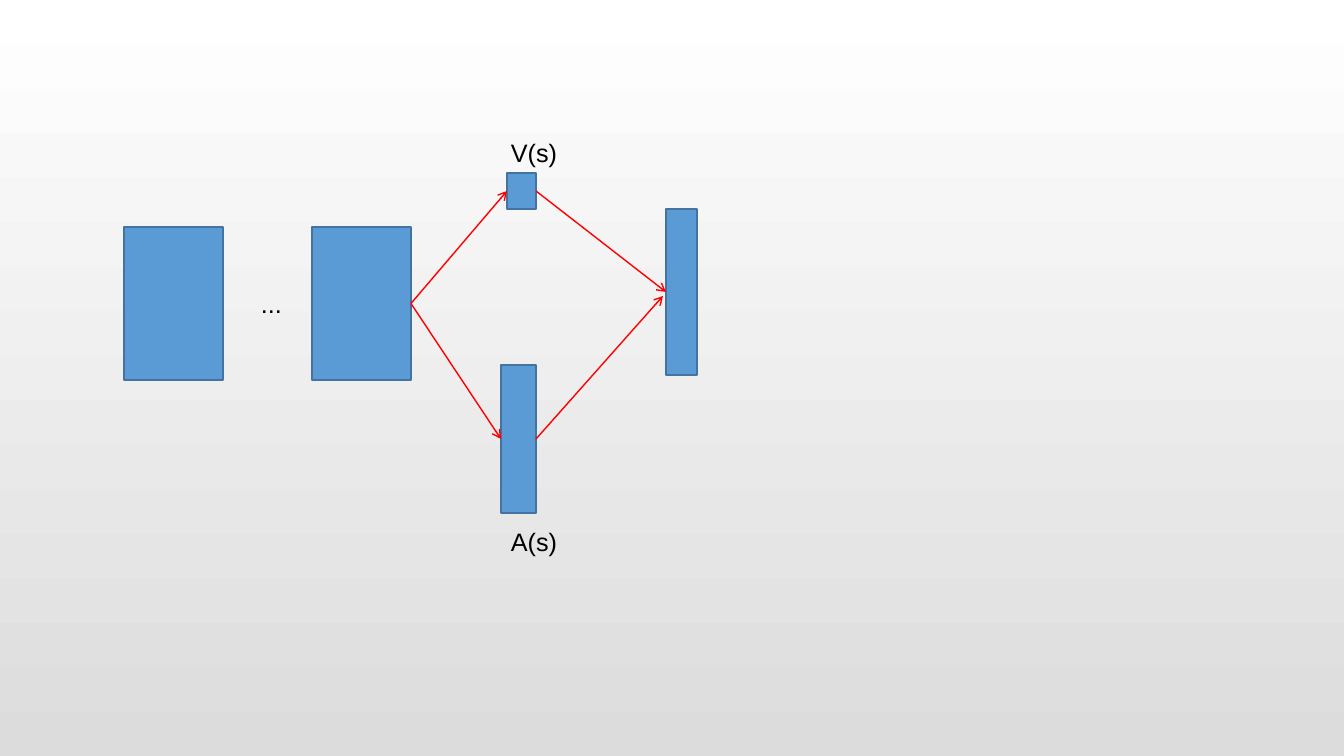
"""Draw a dueling network diagram with value and advantage streams."""
from lxml.etree import SubElement
from pptx import Presentation
from pptx.dml.color import RGBColor
from pptx.enum.shapes import MSO_CONNECTOR as Connector, MSO_SHAPE as Shape
from pptx.enum.text import MSO_AUTO_SIZE as AutoSize
from pptx.oxml.ns import qn
from pptx.util import Emu, Pt

SCALE = 914400 / 100.8
COLORS = {
    "top": "FFFFFF",
    "bottom": "DCDCDC",
    "layer": "5B9BD5",
    "edge": "43739E",
    "arrow": "FF0000",
    "text": "000000",
}
RIGHT, LEFT = 3, 1


def px(length):
    return Emu(round(length * SCALE))


def color(name):
    return RGBColor.from_string(COLORS[name])


def paint_background(page):
    fill = page.background.fill
    fill.gradient()
    fill.gradient_angle = 270
    for stop, name in zip(fill.gradient_stops, ("top", "bottom")):
        stop.color.rgb = color(name)


def add_layer(page, left, top, width, height):
    box = page.shapes.add_shape(Shape.RECTANGLE, px(left), px(top), px(width), px(height))
    box.shadow.inherit = False
    box.fill.solid()
    box.fill.fore_color.rgb = color("layer")
    box.line.color.rgb = color("edge")
    box.line.width = Pt(1)
    return box


def add_label(page, text, left, top, width, height=40, size=18, font="Arial"):
    box = page.shapes.add_textbox(px(left), px(top), px(width), px(height))
    frame = box.text_frame
    frame.word_wrap = True
    frame.auto_size = AutoSize.SHAPE_TO_FIT_TEXT
    span = frame.paragraphs[0].add_run()
    span.text = text
    span.font.size = Pt(size)
    span.font.name = font
    span.font.color.rgb = color("text")


def add_arrow(page, source, target=None, end=(0, 0)):
    x, y = (px(length) for length in end)
    arrow = page.shapes.add_connector(Connector.STRAIGHT, x, y, x, y)
    arrow.begin_connect(source, RIGHT)
    if target is not None:
        arrow.end_connect(target, LEFT)
    arrow.line.color.rgb = color("arrow")
    arrow.line.width = Pt(1)
    SubElement(arrow.line._get_or_add_ln(), qn("a:tailEnd"), type="arrow")
    SubElement(arrow._element.spPr, qn("a:effectLst"))


def main():
    deck = Presentation()
    deck.slide_width, deck.slide_height = px(1344), px(756)
    page = deck.slides.add_slide(deck.slide_layouts[6])
    paint_background(page)

    first, last = [add_layer(page, left, 227, 99, 153) for left in (124, 312)]
    value = add_layer(page, 507, 173, 29, 36)
    advantage = add_layer(page, 501, 365, 35, 148)
    output = add_layer(page, 666, 209, 31, 166)

    add_label(page, "...", 251, 283, 82)
    add_arrow(page, last, value)
    add_arrow(page, last, advantage)
    add_arrow(page, value, output)
    add_arrow(page, advantage, end=(663, 296))
    add_label(page, "V(s)", 501, 132, 94)
    add_label(page, "A(s)", 501, 521, 94)
    deck.save("out.pptx")


if __name__ == "__main__":
    main()
